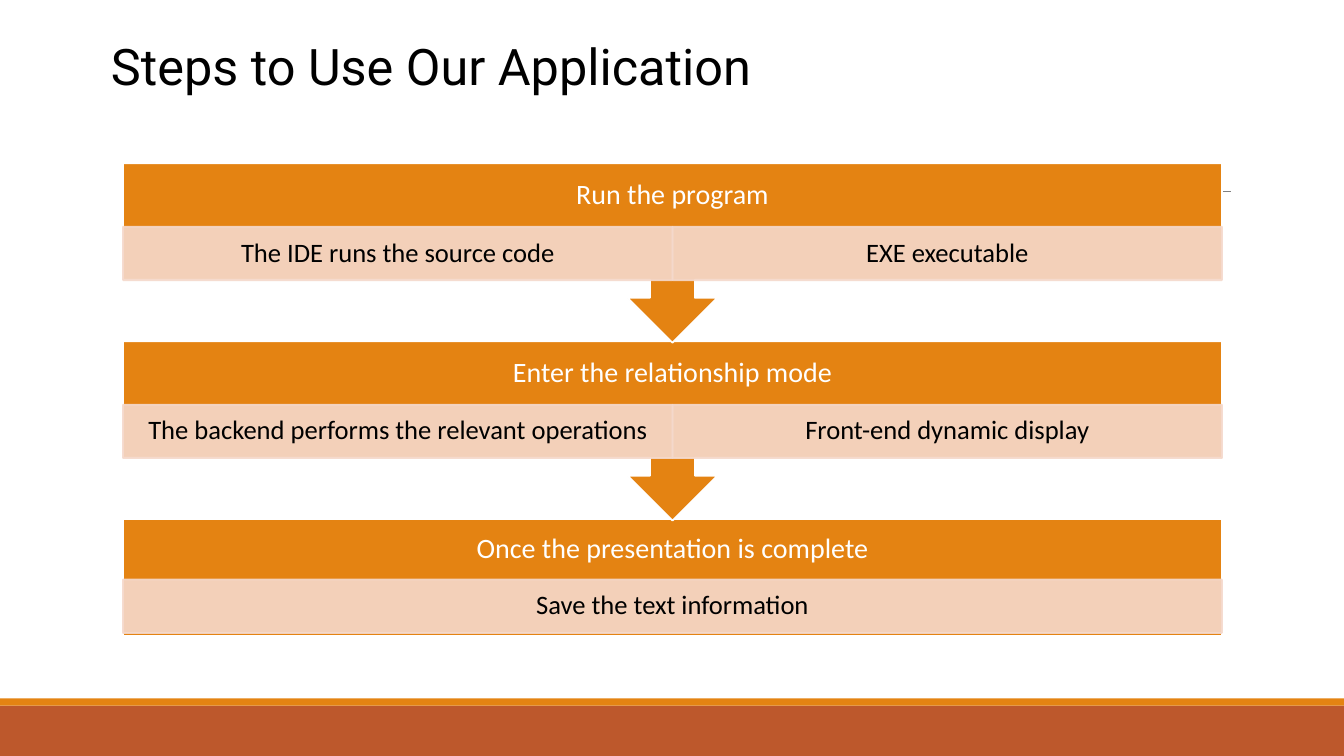
from lxml import etree
from pptx import Presentation
from pptx.dml.color import RGBColor
from pptx.enum.shapes import MSO_CONNECTOR, MSO_SHAPE
from pptx.enum.text import MSO_ANCHOR, MSO_AUTO_SIZE, PP_ALIGN
from pptx.oxml.ns import qn
from pptx.util import Inches, Pt

RECTANGLE = MSO_SHAPE.RECTANGLE
CALLOUT = MSO_SHAPE.DOWN_ARROW_CALLOUT
STRAIGHT = MSO_CONNECTOR.STRAIGHT
LEFT, CENTER = PP_ALIGN.LEFT, PP_ALIGN.CENTER
TOP, MIDDLE = MSO_ANCHOR.TOP, MSO_ANCHOR.MIDDLE

TITLE = "Steps to Use Our Application"
STEPS = [
    ("Run the program", ["The IDE runs the source code", "EXE executable"]),
    ("Enter the relationship mode",
     ["The backend performs the relevant operations", "Front-end dynamic display"]),
    ("Once the presentation is complete", ["Save the text information"]),
]

ORANGE, RUST, PEACH = "E48312", "BD582C", "F5D9CC"
WHITE, BLACK, GRAY = "FFFFFF", "000000", "808080"

WIDTH, HEIGHT = 13.33, 7.5
STEP_LEFT, STEP_TOP, STEP_WIDTH = 1.22, 1.62, 10.9
STEP_PITCH = 1.765
CALLOUT_HEIGHT, LAST_HEIGHT = 1.78, 1.16
HEADER_HEIGHT, LAST_HEADER_HEIGHT, DETAIL_HEIGHT = 0.63, 0.6, 0.53
FOOTER_HEIGHT, STRIPE_HEIGHT = 0.5, 0.07


def color(value):
    return RGBColor.from_string(value)


def set_opacity(fill, percent):
    element = fill.fore_color._xFill.find(qn("a:srgbClr"))
    etree.SubElement(element, qn("a:alpha"), val=str(percent * 1000))


def add_box(kind, left, top, width, height, fill, line=None, opacity=100):
    box = page.shapes.add_shape(
        kind, Inches(left), Inches(top), Inches(width), Inches(height))
    box.shadow.inherit = False
    box.fill.solid()
    box.fill.fore_color.rgb = color(fill)
    if line:
        box.line.width = Pt(1.25)
        box.line.color.rgb = color(line)
    else:
        box.line.fill.background()
    if opacity < 100:
        set_opacity(box.fill, opacity)
        set_opacity(box.line.fill, opacity)
    return box


def write(box, text, size, ink=BLACK, font="Calibri", align=CENTER,
          anchor=MIDDLE, spacing=0.9, insets=(0.15, 0.03)):
    frame = box.text_frame
    frame.word_wrap = True
    frame.auto_size = MSO_AUTO_SIZE.NONE
    frame.vertical_anchor = anchor
    frame.margin_left = frame.margin_right = Inches(insets[0])
    frame.margin_top = frame.margin_bottom = Inches(insets[1])
    para = frame.paragraphs[0]
    para.alignment = align
    para.line_spacing = spacing
    span = para.add_run()
    span.text = text
    span.font.name = font
    span.font.size = Pt(size)
    span.font.color.rgb = color(ink)


def add_step(index, header, details):
    last = index == len(STEPS) - 1
    top = STEP_TOP + index * STEP_PITCH
    kind, height, header_height = (
        (RECTANGLE, LAST_HEIGHT, LAST_HEADER_HEIGHT) if last
        else (CALLOUT, CALLOUT_HEIGHT, HEADER_HEIGHT))
    add_box(kind, STEP_LEFT, top, STEP_WIDTH, height, ORANGE, WHITE)
    label = page.shapes.add_textbox(
        Inches(STEP_LEFT), Inches(top), Inches(STEP_WIDTH), Inches(header_height))
    write(label, header, 20, WHITE, insets=(0.16, 0.16))
    detail_width = STEP_WIDTH / len(details)
    for column, detail in enumerate(details):
        cell = add_box(RECTANGLE, STEP_LEFT + column * detail_width,
                       top + header_height, detail_width, DETAIL_HEIGHT,
                       PEACH, PEACH, opacity=90)
        write(cell, detail, 19)


deck = Presentation()
deck.slide_width, deck.slide_height = Inches(WIDTH), Inches(HEIGHT)
page = deck.slides.add_slide(deck.slide_layouts[5])

footer_top = HEIGHT - FOOTER_HEIGHT
add_box(RECTANGLE, 0, footer_top, WIDTH, FOOTER_HEIGHT, RUST)
add_box(RECTANGLE, 0, footer_top - STRIPE_HEIGHT, WIDTH, STRIPE_HEIGHT, ORANGE)

rule = page.shapes.add_connector(
    STRAIGHT, Inches(1.31), Inches(1.9), Inches(12.21), Inches(1.9))
rule.line.width = Pt(0.5)
rule.line.color.rgb = color(GRAY)
etree.SubElement(rule._element.spPr, qn("a:effectLst"))

for index, (header, details) in reversed(list(enumerate(STEPS))):
    add_step(index, header, details)

title = page.shapes.title
title.left, title.top = Inches(1), Inches(0.3)
title.width, title.height = Inches(6.9), Inches(0.71)
write(title, TITLE, 36, font="Roboto", align=LEFT, anchor=TOP,
      spacing=1.0, insets=(0.1, 0.05))

deck.save("out.pptx")
